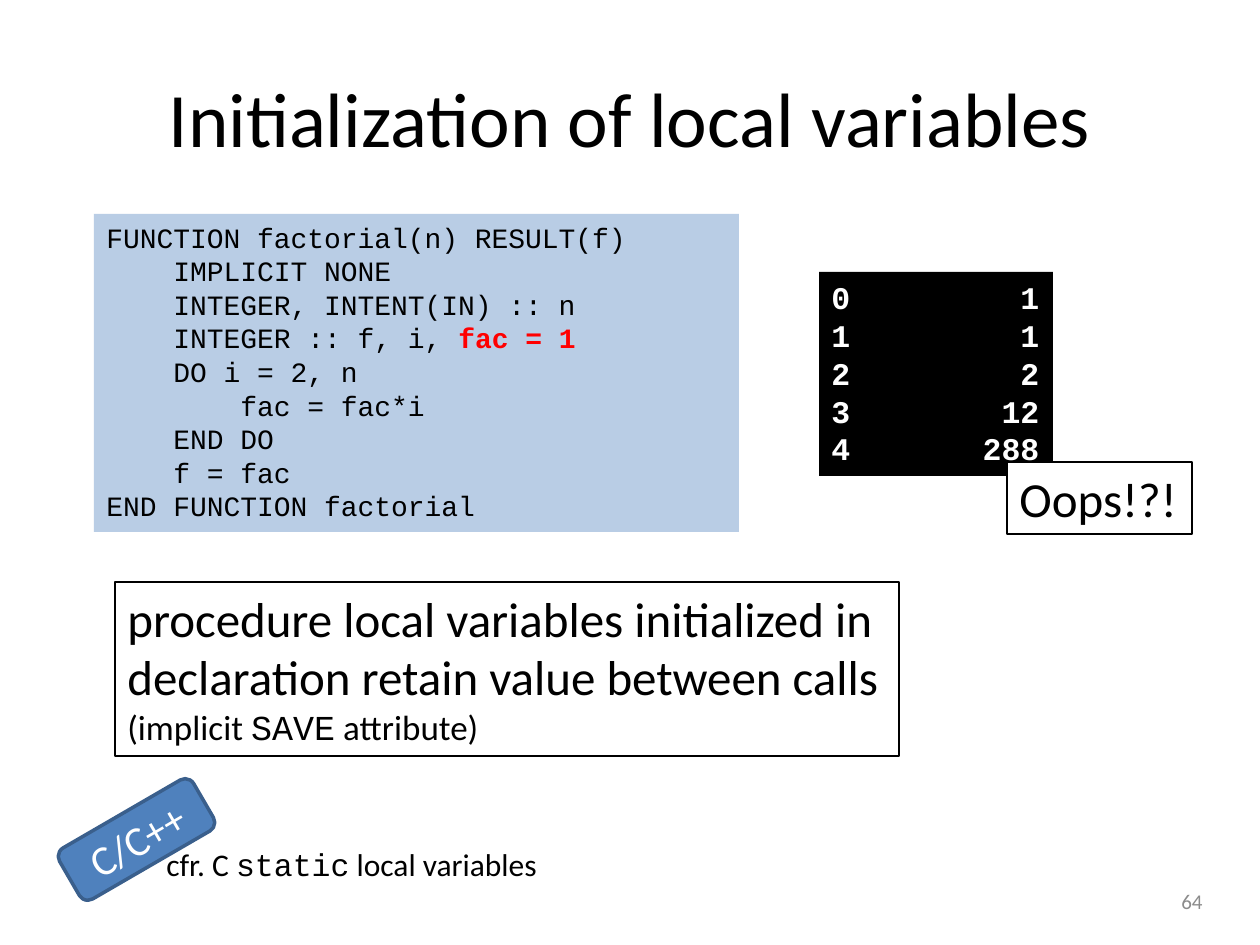
from pptx import Presentation
from pptx.dml.color import RGBColor
from pptx.enum.shapes import MSO_SHAPE
from pptx.enum.text import MSO_ANCHOR, MSO_AUTO_SIZE, PP_ALIGN
from pptx.util import Emu, Pt

SCALE = 914400 / 126
SANS = "Calibri"
MONO = "Courier New"

CODE = [
    [("FUNCTION factorial(n) RESULT(f)", {})],
    [("    IMPLICIT NONE", {})],
    [("    INTEGER, INTENT(IN) :: n", {})],
    [
        ("    INTEGER :: f, i, ", {}),
        ("fac = 1", {"color": "FF0000", "bold": True}),
    ],
    [("    DO i = 2, n", {})],
    [("        fac = fac*i", {})],
    [("    END DO", {})],
    [("    f = fac", {})],
    [("END FUNCTION factorial", {})],
]
RESULTS = [1, 1, 2, 12, 288]
RULE = [
    [
        ("procedure local variables initialized in\v"
         "declaration retain value between calls", {}),
    ],
    [
        ("(implicit ", {"size": 20}),
        ("SAVE", {"size": 20, "font": MONO}),
        (" attribute)", {"size": 20}),
    ],
]
COMPARISON = [
    [("cfr. C ", {}), ("static", {"font": MONO}), (" local variables", {})],
]


def px(length):
    """Convert pixels to EMU."""
    return Emu(round(length * SCALE))


def rgb(value):
    """Return the colour for a hex string."""
    return RGBColor.from_string(value)


def add_run(paragraph, text, size, font=SANS, color="000000", bold=False):
    """Add formatted text, with a line break at each vertical tab."""
    for index, line in enumerate(text.split("\v")):
        if index:
            paragraph.add_line_break()
        run = paragraph.add_run()
        run.text = line
        run.font.name = font
        run.font.size = Pt(size)
        run.font.bold = bold
        run.font.color.rgb = rgb(color)


def write(text_frame, paragraphs, align=PP_ALIGN.LEFT, **style):
    """Fill a text frame with paragraphs made of runs."""
    for index, runs in enumerate(paragraphs):
        paragraph = text_frame.add_paragraph() if index else text_frame.paragraphs[0]
        paragraph.alignment = align
        for text, changes in runs:
            add_run(paragraph, text, **{**style, **changes})


def place(shape, left, top, width, height):
    """Set the position and size of a shape in pixels."""
    shape.left, shape.top = px(left), px(top)
    shape.width, shape.height = px(width), px(height)


def paint(shape, fill=None, line=None, weight=0.75):
    """Set the fill and outline of a shape."""
    if fill:
        shape.fill.solid()
        shape.fill.fore_color.rgb = rgb(fill)
    if line:
        shape.line.color.rgb = rgb(line)
        shape.line.width = Pt(weight)


def add_title(slide, text):
    """Place and fill the title placeholder."""
    title = slide.shapes.title
    place(title, 63, 38, 1134, 157)
    title.text_frame.vertical_anchor = MSO_ANCHOR.MIDDLE
    write(title.text_frame, [[(text, {})]], PP_ALIGN.CENTER, size=44)


def add_box(slide, box, paragraphs, fill=None, line=None, wrap=False, **style):
    """Add a text box that grows with its text."""
    shape = slide.shapes.add_textbox(*map(px, box))
    paint(shape, fill, line)
    shape.text_frame.word_wrap = wrap
    shape.text_frame.auto_size = MSO_AUTO_SIZE.SHAPE_TO_FIT_TEXT
    write(shape.text_frame, paragraphs, **style)


def add_badge(slide, box, text):
    """Add a tilted rounded label."""
    badge = slide.shapes.add_shape(MSO_SHAPE.ROUNDED_RECTANGLE, *map(px, box))
    badge.shadow.inherit = False
    badge.rotation = 329.9
    paint(badge, "4F81BD", "3A5F8C", 2)
    badge.text_frame.vertical_anchor = MSO_ANCHOR.MIDDLE
    write(badge.text_frame, [[(text, {})]], PP_ALIGN.CENTER, size=24, color="FFFFFF")


def add_page_number(slide, number):
    """Add the page number at the lower right."""
    shape = slide.shapes.add_textbox(*map(px, (921, 876, 294, 50)))
    shape.text_frame.word_wrap = True
    shape.text_frame.vertical_anchor = MSO_ANCHOR.MIDDLE
    write(shape.text_frame, [[(number, {})]], PP_ALIGN.RIGHT, size=12, color="8C8C8C")


def main():
    """Build and save the slide."""
    presentation = Presentation()
    presentation.slide_width, presentation.slide_height = px(1260), px(945)
    slide = presentation.slides.add_slide(presentation.slide_layouts[5])
    output = [[(f"{n}{value:>10}", {})] for n, value in enumerate(RESULTS)]

    add_title(slide, "Initialization of local variables")
    add_page_number(slide, "64")
    add_box(slide, (94, 214, 645, 318), CODE, "B9CDE5", wrap=True, size=16, font=MONO)
    add_box(slide, (819, 272, 234, 204), output, "000000",
            size=18, font=MONO, color="FFFFFF", bold=True)
    add_box(slide, (1007, 462, 185, 72), [[("Oops!?!", {})]], "FFFFFF", "000000", size=28)
    add_box(slide, (115, 582, 784, 174), RULE, line="000000", size=28)
    add_box(slide, (154, 839, 456, 50), COMPARISON, wrap=True, size=18)
    add_badge(slide, (59, 810, 155, 59), "C/C++")
    presentation.save("out.pptx")


if __name__ == "__main__":
    main()
